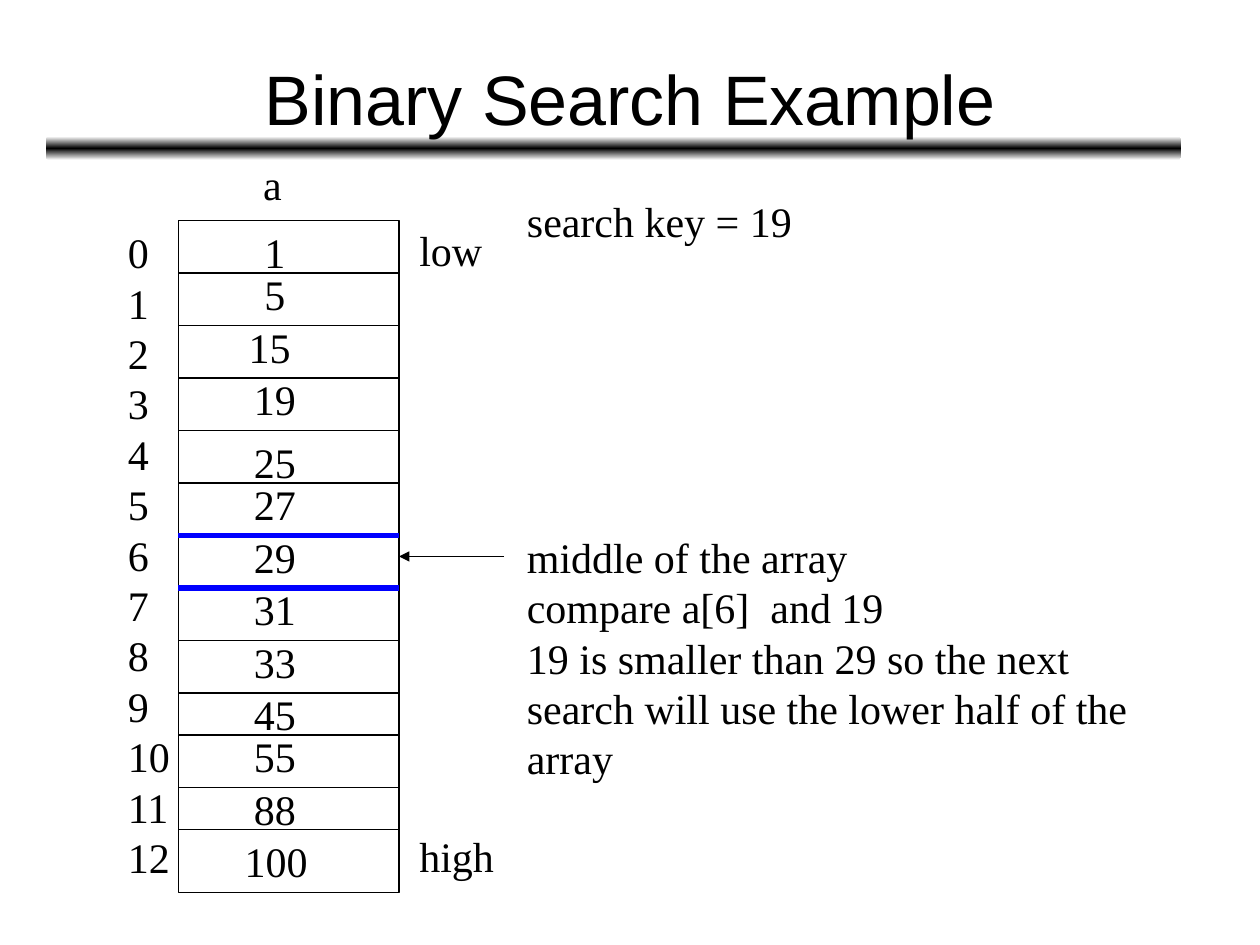
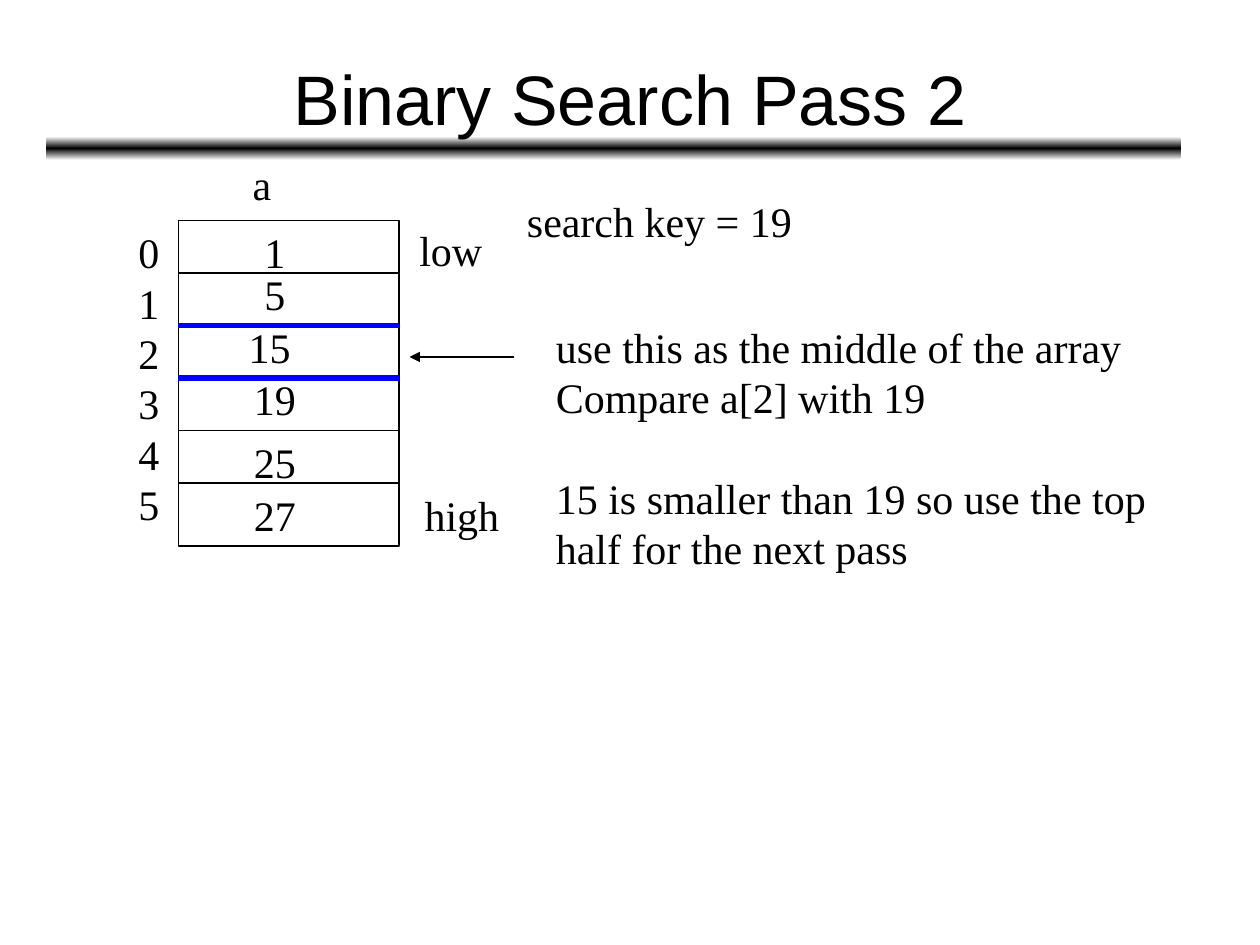
from lxml.etree import SubElement
from pptx import Presentation
from pptx.dml.color import RGBColor
from pptx.enum.shapes import MSO_CONNECTOR, MSO_SHAPE
from pptx.enum.text import MSO_ANCHOR, MSO_AUTO_SIZE, PP_ALIGN
from pptx.oxml import parse_xml
from pptx.oxml.ns import nsdecls, qn
from pptx.util import Pt

PX = 9525  # 96 px to the inch
BLACK, WHITE, BLUE = "000000", "FFFFFF", "0000FF"
LINE_SPACING = 1.2

ARRAY_LEFT, ARRAY_TOP, ARRAY_WIDTH = 136, 168, 168
ARRAY_RIGHT = ARRAY_LEFT + ARRAY_WIDTH
ROW_HEIGHT, LAST_ROW_HEIGHT = 40, 48
SHORT_ROWS = {9: 32, 11: 32}
VALUE_BOX = {1: (192, 35), 2: (184, 51), 3: (177, 67)}  # digits: left, width
VALUE_LEFT = {15: 180}
VALUE_RISE = 8
FLUSH_ROWS = (0, 4)

VALUES = [1, 5, 15, 19, 25, 27, 29, 31, 33, 45, 55, 88, 100]
PASSES = [
    dict(title="Binary Search Example", values=VALUES, middle=6,
         index_box=(88, 51), name_left=191, high=(310, 628),
         arrow=(384, 304, 424), notes_box=(392, 400, 550, 163),
         notes=[["middle of the array", "compare a[6]  and 19",
                 "19 is smaller than 29 so the next",
                 "search will use the lower half of the array"]]),
    dict(title="Binary Search Pass 2", values=VALUES[:6], middle=2,
         index_box=(96, 35), name_left=183, high=(314, 368),
         arrow=(392, 312, 272), notes_box=(414, 240, 477, 202),
         notes=[["use this as the middle of the array", "Compare a[2] with 19"],
                ["15 is smaller than 19 so use the top", "half for the next pass"]]),
]


def add_text(slide, box, groups, font="Times New Roman", size=24):
    """Add a text box; groups of lines are set one line height apart."""
    shape = slide.shapes.add_textbox(*(length * PX for length in box))
    frame = shape.text_frame
    frame.word_wrap = False
    frame.auto_size = MSO_AUTO_SIZE.SHAPE_TO_FIT_TEXT
    paragraph = None
    for group in groups:
        for number, line in enumerate(group):
            first = paragraph is None
            paragraph = frame.paragraphs[0] if first else frame.add_paragraph()
            paragraph.line_spacing = Pt(size * LINE_SPACING)
            if number == 0 and not first:
                paragraph.space_before = Pt(size * LINE_SPACING)
            run = paragraph.add_run()
            run.text = line
            run.font.name = font
            run.font.size = Pt(size)
            run.font.color.rgb = RGBColor.from_string(BLACK)
    return shape


def add_line(slide, start_x, start_y, end_x, end_y, color=BLACK, width=0.75):
    connector = slide.shapes.add_connector(
        MSO_CONNECTOR.STRAIGHT, start_x * PX, start_y * PX, end_x * PX, end_y * PX)
    connector.line.color.rgb = RGBColor.from_string(color)
    connector.line.width = Pt(width)
    SubElement(connector._element.spPr, qn("a:effectLst"))
    return connector


presentation = Presentation()
presentation.slide_width = 960 * PX
presentation.slide_height = 720 * PX

for search in PASSES:
    slide = presentation.slides.add_slide(presentation.slide_layouts[6])
    values = search["values"]
    last = len(values) - 1

    # Title over its gradient band
    band = slide.shapes.add_shape(
        MSO_SHAPE.ROUNDED_RECTANGLE, 35 * PX, 104 * PX, 865 * PX, 18 * PX)
    band.shadow.inherit = False
    band.line.fill.background()
    stops = "".join(
        f'<a:gs pos="{position}"><a:srgbClr val="{color}"/></a:gs>'
        for position, color in ((0, WHITE), (50000, BLACK), (100000, WHITE)))
    band._element.spPr.find(qn("a:prstGeom")).addnext(parse_xml(
        f'<a:gradFill {nsdecls("a")}><a:gsLst>{stops}</a:gsLst>'
        '<a:lin ang="5400000" scaled="0"/></a:gradFill>'))

    title = add_text(slide, (48, 29, 864, 91), [[search["title"]]], "Arial", 40)
    title.text_frame.auto_size = MSO_AUTO_SIZE.NONE
    title.text_frame.word_wrap = True
    title.text_frame.vertical_anchor = MSO_ANCHOR.MIDDLE
    title.text_frame.paragraphs[0].alignment = PP_ALIGN.CENTER

    # Array frame, dividers and values
    heights = [SHORT_ROWS.get(row, ROW_HEIGHT) for row in range(last)]
    heights.append(LAST_ROW_HEIGHT)
    array = slide.shapes.add_shape(
        MSO_SHAPE.RECTANGLE, ARRAY_LEFT * PX, ARRAY_TOP * PX,
        ARRAY_WIDTH * PX, sum(heights) * PX)
    array.shadow.inherit = False
    array.fill.background()
    array.line.color.rgb = RGBColor.from_string(BLACK)
    array.line.width = Pt(0.75)

    row_top = ARRAY_TOP
    for row, (value, height) in enumerate(zip(values, heights)):
        if row > 0:
            edge = (BLUE, 3) if row - search["middle"] in (0, 1) else (BLACK, 0.75)
            add_line(slide, ARRAY_LEFT, row_top, ARRAY_RIGHT, row_top, *edge)
        left, width = VALUE_BOX[len(str(value))]
        rise = 0 if row in FLUSH_ROWS or row == last else VALUE_RISE
        add_text(slide, (VALUE_LEFT.get(value, left), row_top - rise, width, 48),
                 [[str(value)]])
        row_top += height

    # Indexes and labels around the array
    index_left, index_width = search["index_box"]
    add_text(slide, (index_left, ARRAY_TOP, index_width, 38 * len(values) + 10),
             [[str(row) for row in range(len(values))]])
    add_text(slide, (search["name_left"], 116, 34, 48), [["a"]])
    add_text(slide, (310, 166, 67, 48), [["low"]])
    add_text(slide, (*search["high"], 76, 48), [["high"]])
    add_text(slide, (392, 144, 221, 48), [["search key = 19"]])

    # Arrow to the middle element, with its explanation
    arrow_start, arrow_end, arrow_y = search["arrow"]
    arrow = add_line(slide, arrow_start, arrow_y, arrow_end, arrow_y)
    SubElement(arrow.line._get_or_add_ln(), qn("a:tailEnd"), type="triangle")
    if arrow_end == ARRAY_RIGHT:
        arrow.end_connect(array, 3)
    add_text(slide, search["notes_box"], search["notes"])

presentation.save("out.pptx")
